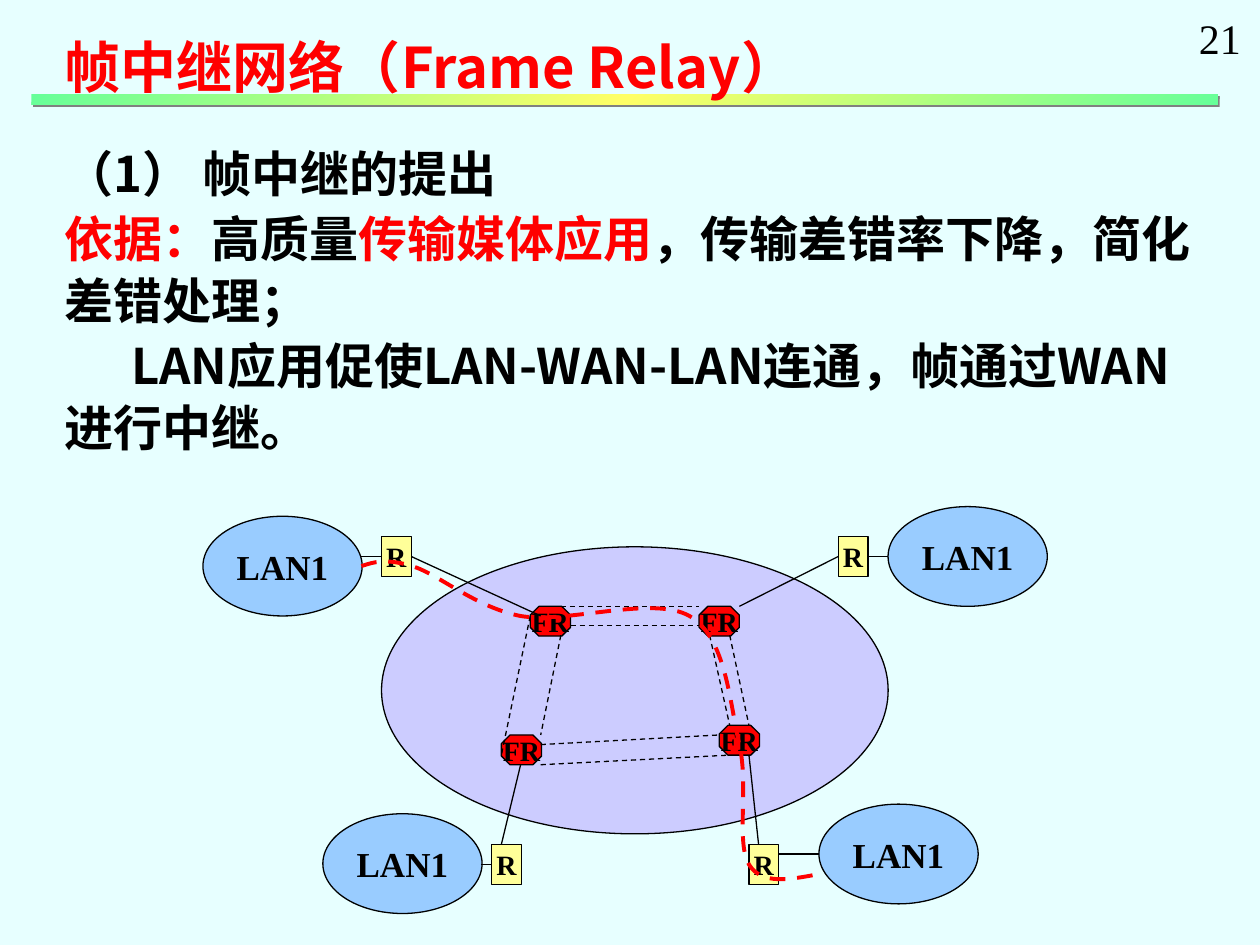
from lxml import etree
from pptx import Presentation
from pptx.dml.color import RGBColor
from pptx.enum.dml import MSO_LINE
from pptx.enum.shapes import MSO_CONNECTOR, MSO_SHAPE as SHAPE
from pptx.enum.text import MSO_ANCHOR, MSO_AUTO_SIZE, PP_ALIGN
from pptx.oxml import parse_xml
from pptx.oxml.ns import nsdecls, qn
from pptx.util import Pt

COLORS = {name: RGBColor.from_string(value) for name, value in {
    "background": "E7FFFF", "black": "000000", "red": "FF0000",
    "cloud": "CCCCFF", "router": "FFFF99", "lan": "99CCFF"}.items()}
SERIF, SANS = "Times New Roman", "Noto Sans CJK SC"

prs = Presentation()
prs.slide_width, prs.slide_height = Pt(720), Pt(540)
s = prs.slides.add_slide(prs.slide_layouts[6])
s.background.fill.solid()
s.background.fill.fore_color.rgb = COLORS["background"]


def add_node(kind, x, y, w, h, fill, text="", size=16):
    sp = s.shapes.add_shape(kind, Pt(x), Pt(y), Pt(w), Pt(h))
    sp.shadow.inherit = False
    sp.fill.solid()
    sp.fill.fore_color.rgb = COLORS[fill]
    sp.line.color.rgb = COLORS["black"]
    sp.line.width = Pt(0.75)
    if text:
        tf = sp.text_frame
        tf.word_wrap = False
        tf.vertical_anchor = MSO_ANCHOR.MIDDLE
        p = tf.paragraphs[0]
        p.text = text
        p.alignment = PP_ALIGN.CENTER
        p.font.name, p.font.size, p.font.bold = SERIF, Pt(size), True
        p.font.color.rgb = COLORS["black"]
    return sp


def add_link(x1, y1, x2, y2):
    link = s.shapes.add_connector(MSO_CONNECTOR.STRAIGHT, Pt(x1), Pt(y1), Pt(x2), Pt(y2))
    link.line.color.rgb = COLORS["black"]
    link.line.width = Pt(0.75)
    etree.SubElement(link._element.spPr, qn("a:effectLst"))
    return link


# Page number, body and title: box, wrap, font, size, bold, paragraphs
# Each paragraph: first-line indent, space before, line spacing, coloured runs
texts = [
    ((678, 3.6, 39, 36), False, SERIF, 24, False, [(0, 0, 1, [("21", "black")])]),
    ((30, 77, 672, 187), True, SANS, 28, True, [
        (0, 0, 1.05, [("（1） 帧中继的提出", "black")]),
        (0, 1.8, 1.05, [("依据：", "red"), ("高质量", "black"), ("传输媒体应用", "red"),
                        ("，传输差错率下降，简化差错处理；", "black")]),
        (38, 1.8, 1.05, [("LAN应用促使LAN-WAN-LAN连通，帧通过WAN进行中继。", "black")]),
    ]),
    ((8.5, 15, 607, 46), True, SANS, 32, True,
     [(21.5, 0, 1, [("帧中继网络（Frame Relay）", "red")])]),
]
for box, wrap, font, size, bold, paragraphs in texts:
    # The gradient rule lies between the body and the title
    if size == 32:
        bar = s.shapes.add_shape(SHAPE.RECTANGLE, Pt(18), Pt(54), Pt(678), Pt(6))
        bar.line.fill.background()
        bar.shadow.inherit = False
        stops = "".join(f'<a:gs pos="{pos}"><a:srgbClr val="{color}"/></a:gs>' for pos, color in
                        [(0, "66FF99"), (50000, "FFFF66"), (100000, "66FF99")])
        bar._element.spPr.find(qn("a:prstGeom")).addnext(parse_xml(
            f'<a:gradFill {nsdecls("a")}><a:gsLst>{stops}</a:gsLst>'
            '<a:lin ang="2700000" scaled="1"/></a:gradFill>'))
        bar._element.spPr.find(qn("a:effectLst")).append(parse_xml(
            f'<a:outerShdw {nsdecls("a")} dist="17780" dir="2700000">'
            '<a:srgbClr val="808080"/></a:outerShdw>'))
    tf = s.shapes.add_textbox(*map(Pt, box)).text_frame
    tf.word_wrap = wrap
    tf.auto_size = MSO_AUTO_SIZE.SHAPE_TO_FIT_TEXT
    for i, (indent, before, spacing, runs) in enumerate(paragraphs):
        p = tf.paragraphs[0] if i == 0 else tf.add_paragraph()
        p.line_spacing = spacing
        if before:
            p.space_before = Pt(before)
        if indent:
            p._p.get_or_add_pPr().set("indent", str(Pt(indent)))
        p.font.name, p.font.size, p.font.bold = font, Pt(size), bold
        etree.SubElement(p.font._element, qn("a:ea")).set("typeface", font)
        for text, color in runs:
            r = p.add_run()
            r.text = text
            r.font.color.rgb = COLORS[color]

# Frame relay cloud and its switches
add_node(SHAPE.OVAL, 218, 312.5, 289.5, 164, "cloud")
for x, y in [(286.5, 420), (303, 346.5), (411, 414.5), (399.5, 346.5)]:
    add_node(SHAPE.OCTAGON, x, y, 23, 17, "red", "FR")

# Paired dashed trunks between switches
for ends in [(303, 352, 286.5, 431.5), (320.5, 363, 309, 420),
             (326, 357.5, 399.5, 357.5), (320.5, 346.5, 399.5, 346.5),
             (405.5, 363, 417, 414.5), (417, 363, 428, 414.5),
             (309, 425.5, 411, 420), (309, 437, 417, 431.5)]:
    add_link(*ends).line.dash_style = MSO_LINE.DASH

# Routers and local networks
lower_left, lower_right, upper_left, upper_right = [
    add_node(SHAPE.RECTANGLE, x, y, 17, 23, "router", "R")
    for x, y in [(281, 482.5), (428, 482.5), (218, 306.5), (479, 306.5)]]
for x, y in [(184.5, 465), (116, 295), (468, 459.5), (507.5, 289.5)]:
    add_node(SHAPE.OVAL, x, y, 91, 57, "lan", "LAN1", 20)

# Access lines: ends, then the router and side where the line starts
for ends, router, side in [
        ((235, 318, 309, 352), upper_left, 3), ((218, 318, 206.5, 318), upper_left, 1),
        ((281, 494, 275, 494), lower_left, 1), ((286.5, 482.5, 297.5, 437), None, 0),
        ((428, 431.5, 433.5, 482.5), None, 0), ((445, 488, 468, 488), None, 0),
        ((496, 318, 507.5, 318), upper_right, 3), ((479, 318, 422.5, 346.5), upper_right, 1)]:
    link = add_link(*ends)
    if router:
        link.begin_connect(router, side)

# Virtual circuit: start point, then three Bezier points per curve
route = [(206.5, 323.5), (214, 321), (220.5, 319), (235.5, 323.5),
         (250.5, 328), (271.5, 347), (297.5, 352), (324, 356.5), (373, 340), (394, 352),
         (415, 364), (417, 402), (422.5, 425.5), (428, 449), (420.5, 481.5), (428, 494),
         (435.5, 506), (451.5, 502.5), (468, 499.5)]
builder = s.shapes.build_freeform(*map(Pt, route[0]), scale=1.0)
builder.add_line_segments([(Pt(x), Pt(y)) for x, y in route[1:]], close=False)
circuit = builder.convert_to_shape()
outline = circuit._element.spPr.find(".//" + qn("a:path"))
segments = outline.findall(qn("a:lnTo"))
for i in range(0, len(segments), 3):
    curve = etree.SubElement(outline, qn("a:cubicBezTo"))
    for segment in segments[i:i + 3]:
        curve.append(segment[0])
        outline.remove(segment)
circuit.shadow.inherit = False
circuit.fill.background()
circuit.line.color.rgb = COLORS["red"]
circuit.line.width = Pt(2.25)
circuit.line.dash_style = MSO_LINE.DASH

prs.save("out.pptx")
